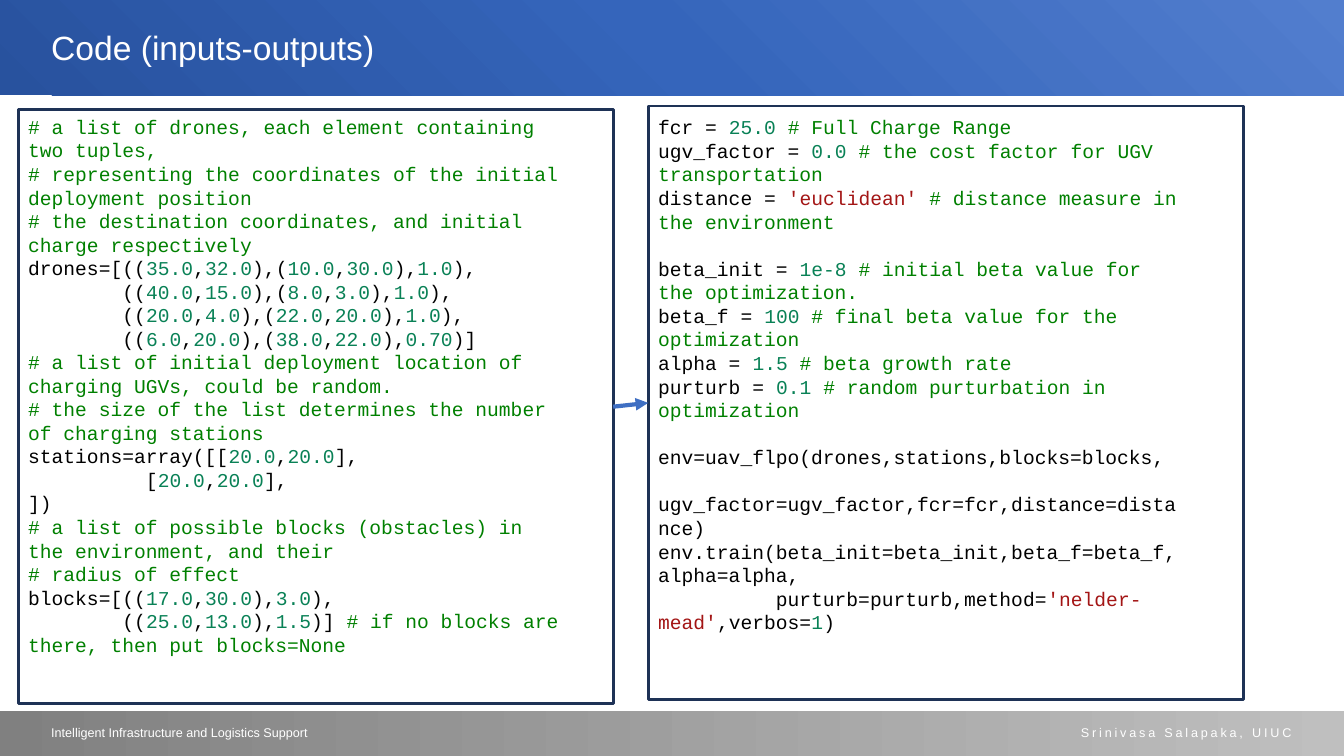
from dataclasses import dataclass

from lxml import etree
from pptx import Presentation
from pptx.dml.color import RGBColor
from pptx.enum import shapes, text
from pptx.oxml import ns, parse_xml
from pptx.shapes.autoshape import Shape
from pptx.slide import Slide
from pptx.util import Pt

WHITE = RGBColor(0xFF, 0xFF, 0xFF)
NAVY = RGBColor(0x1E, 0x32, 0x56)
ARROW_BLUE = RGBColor(0x3F, 0x6F, 0xC3)
PLAIN = RGBColor(0x00, 0x00, 0x00)
COMMENT = RGBColor(0x00, 0x80, 0x00)
NUMBER = RGBColor(0x09, 0x81, 0x56)
STRING = RGBColor(0xA3, 0x15, 0x15)
HEADER_STOPS = {
    0: RGBColor(0x52, 0x7E, 0xCE),
    50: RGBColor(0x35, 0x65, 0xBB),
    100: RGBColor(0x28, 0x52, 0x9E),
}
FOOTER_STOPS = {0: RGBColor(0x80, 0x80, 0x80), 100: RGBColor(0xBF, 0xBF, 0xBF)}
CORNER = (
    '<a:path path="circle"><a:fillToRect l="100000" t="0" r="0" b="100000"/></a:path>'
)
ACROSS = '<a:lin ang="0" scaled="0"/>'
CODE_SIZE = 14
BLANK_LINE = 17

INPUTS = """\
# a list of drones, each element containing two tuples,
# representing the coordinates of the initial deployment position
# the destination coordinates, and initial charge respectively
drones=[((|35.0|,|32.0|),(|10.0|,|30.0|),|1.0|),
        ((|40.0|,|15.0|),(|8.0|,|3.0|),|1.0|),
        ((|20.0|,|4.0|),(|22.0|,|20.0|),|1.0|),
        ((|6.0|,|20.0|),(|38.0|,|22.0|),|0.70|)]
# a list of initial deployment location of charging UGVs, could be random.
# the size of the list determines the number of charging stations
stations=array([[|20.0|,|20.0|],
          [|20.0|,|20.0|],
])
# a list of possible blocks (obstacles) in the environment, and their
# radius of effect
blocks=[((|17.0|,|30.0|),|3.0|),
        ((|25.0|,|13.0|),|1.5|)] |# if no blocks are there, then put blocks=None"""

SETTINGS = """\
fcr = |25.0 |# Full Charge Range
ugv_factor = |0.0 |# the cost factor for UGV transportation
distance = |'euclidean' |# distance measure in the environment

beta_init = |1e-8 |# initial beta value for the optimization.
beta_f = |100 |# final beta value for the optimization
alpha = |1.5 |# beta growth rate
purturb = |0.1 |# random purturbation in optimization

env=uav_flpo(drones,stations,blocks=blocks,
             ugv_factor=ugv_factor,fcr=fcr,distance=distance)
env.train(beta_init=beta_init,beta_f=beta_f,alpha=alpha,
          purturb=purturb,method=|'nelder-mead'|,verbos=|1|)"""


@dataclass(frozen=True)
class Box:
    left: float
    top: float
    width: float
    height: float

    def lengths(self) -> tuple[Pt, Pt, Pt, Pt]:
        return Pt(self.left), Pt(self.top), Pt(self.width), Pt(self.height)


@dataclass(frozen=True)
class Band:
    box: Box
    stops: dict[int, RGBColor]
    direction: str


@dataclass(frozen=True)
class Label:
    box: Box
    wording: str
    size: float
    align: text.PP_ALIGN = text.PP_ALIGN.LEFT
    tracking: int = 0


@dataclass(frozen=True)
class CodePanel:
    frame: Box
    listing: Box
    code: str


BANDS = [
    Band(Box(0, -0.5, 960, 68.5), HEADER_STOPS, CORNER),
    Band(Box(0, 508, 960, 33), FOOTER_STOPS, ACROSS),
]
LABELS = [
    Label(Box(29.5, 16, 859, 36), "Code (inputs-outputs)", 24),
    Label(Box(29.5, 514, 629, 18),
          "Intelligent Infrastructure and Logistics Support", 9),
    Label(Box(735, 514, 194.5, 29), "Srinivasa Salapaka, UIUC", 9,
          text.PP_ALIGN.RIGHT, 200),
]
PANELS = [
    CodePanel(Box(13, 78.5, 425, 424), Box(13, 78.5, 396.7, 431), INPUTS),
    CodePanel(Box(463, 75.8, 425, 424), Box(463, 78.8, 389.5, 364), SETTINGS),
]


def add_band(slide: Slide, band: Band) -> None:
    shape = slide.shapes.add_shape(shapes.MSO_SHAPE.RECTANGLE, *band.box.lengths())
    shape.shadow.inherit = False
    shape.line.fill.background()
    shape.rotation = 180
    stops = "".join(
        f'<a:gs pos="{place * 1000}"><a:srgbClr val="{color}"/></a:gs>'
        for place, color in band.stops.items()
    )
    gradient = parse_xml(
        f'<a:gradFill {ns.nsdecls("a")} rotWithShape="1">'
        f"<a:gsLst>{stops}</a:gsLst>{band.direction}</a:gradFill>"
    )
    properties = shape._element.spPr
    properties.find(ns.qn("a:xfrm")).set("flipH", "1")
    properties.find(ns.qn("a:prstGeom")).addnext(gradient)


def add_text_frame(slide: Slide, box: Box) -> text.MSO_AUTO_SIZE:
    frame = slide.shapes.add_textbox(*box.lengths()).text_frame
    frame.word_wrap = True
    frame.auto_size = text.MSO_AUTO_SIZE.SHAPE_TO_FIT_TEXT
    return frame


def add_label(slide: Slide, label: Label) -> None:
    frame = add_text_frame(slide, label.box)
    frame.text = label.wording
    paragraph = frame.paragraphs[0]
    paragraph.alignment = label.align
    run = paragraph.runs[0]
    run.font.name = "Arial"
    run.font.size = Pt(label.size)
    run.font.color.rgb = WHITE
    if label.tracking:
        run.font._element.set("spc", str(label.tracking))


def token_color(token: str) -> RGBColor:
    if token[0].isdigit():
        return NUMBER
    return {"#": COMMENT, "'": STRING}.get(token[0], PLAIN)


def add_code(slide: Slide, panel: CodePanel) -> None:
    frame = add_text_frame(slide, panel.listing)
    blocks = [block.split("\n") for block in panel.code.split("\n\n")]
    frame.text = "\n".join("" for block in blocks for _ in block)
    paragraphs = iter(frame.paragraphs)
    for block_index, block in enumerate(blocks):
        for line_index, line in enumerate(block):
            paragraph = next(paragraphs)
            if block_index and not line_index:
                paragraph.space_before = Pt(BLANK_LINE)
            for token in line.split("|"):
                run = paragraph.add_run()
                run.text = token
                run.font.name = "Courier New"
                run.font.size = Pt(CODE_SIZE)
                run.font.color.rgb = token_color(token)


def add_frame(slide: Slide, box: Box) -> Shape:
    frame = slide.shapes.add_shape(shapes.MSO_SHAPE.RECTANGLE, *box.lengths())
    frame.shadow.inherit = False
    frame.fill.background()
    frame.line.color.rgb = NAVY
    frame.line.width = Pt(2)
    return frame


def add_arrow(slide: Slide, source: Shape, target: Shape) -> None:
    arrow = slide.shapes.add_connector(shapes.MSO_CONNECTOR.STRAIGHT, 0, 0, 0, 0)
    arrow.begin_connect(source, 3)
    arrow.end_connect(target, 1)
    arrow.line.color.rgb = ARROW_BLUE
    arrow.line.width = Pt(3)
    etree.SubElement(arrow.line._get_or_add_ln(), ns.qn("a:tailEnd"), type="triangle")
    etree.SubElement(arrow._element.spPr, ns.qn("a:effectLst"))


def main() -> None:
    deck = Presentation()
    deck.slide_width, deck.slide_height = Pt(960), Pt(540)
    slide = deck.slides.add_slide(deck.slide_layouts[6])
    for band in BANDS:
        add_band(slide, band)
    for label in LABELS:
        add_label(slide, label)
    for panel in PANELS:
        add_code(slide, panel)
    inputs, settings = [add_frame(slide, panel.frame) for panel in PANELS]
    add_arrow(slide, inputs, settings)
    deck.save("out.pptx")


if __name__ == "__main__":
    main()
